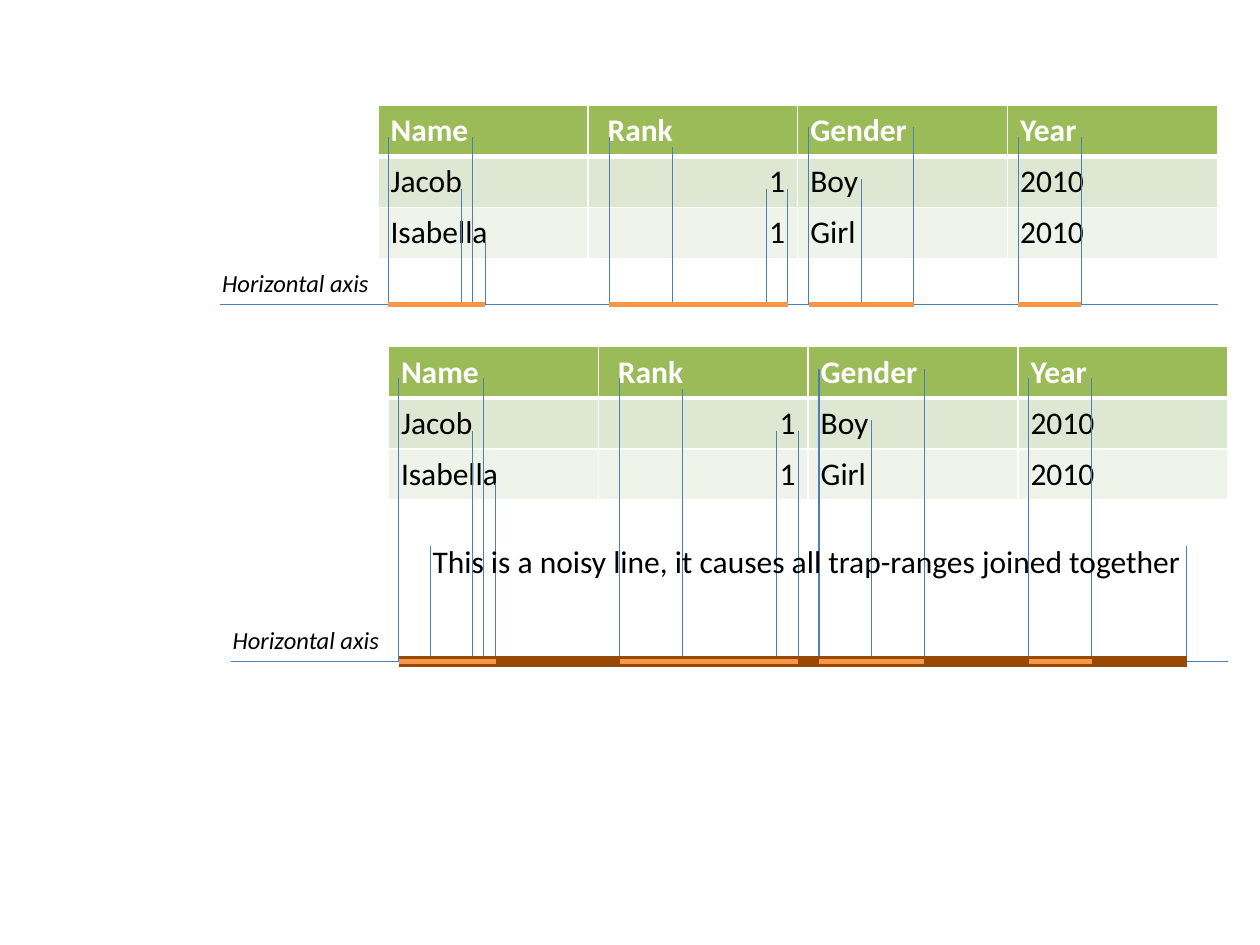
from lxml import etree
from pptx import Presentation
from pptx.dml.color import RGBColor
from pptx.enum.shapes import MSO_CONNECTOR
from pptx.enum.text import MSO_AUTO_SIZE, PP_ALIGN
from pptx.oxml.ns import qn
from pptx.util import Cm, Pt

COLORS = {
    "white": "FFFFFF", "black": "000000", "header": "9BBB59",
    "band_dark": "DEE7D1", "band_light": "EFF3EA",
    "guide": "4B7EBC", "range": "F79646", "joined": "984807",
}
FONT = "Calibri"
ROWS = [
    ["Name", " Rank", "Gender", "Year"],
    ["Jacob", "1", "Boy", "2010"],
    ["Isabella", "1", "Girl", "2010"],
]
ROW_FILLS = ["header", "band_dark", "band_light"]
COLUMN_WIDTH, ROW_HEIGHT = 4.23, 1.03

# Guide lines (x, y) measured from the table corner, grouped by column
COLUMN_GUIDES = [
    [(0.21, 0.64), (1.91, 0.64), (1.69, 1.69), (2.16, 2.75)],
    [(4.66, 0.64), (7.83, 1.69), (8.26, 1.69), (5.93, 0.85)],
    [(8.68, 0.45), (10.8, 0.45), (9.74, 1.48)],
    [(12.91, 0.64), (14.18, 0.64)],
]
# Table left, table top, axis height, has a noisy line
DIAGRAMS = [(7.62, 2.12, 6.14, False), (7.83, 6.99, 13.34, True)]
NOISE_START, NOISE_END, NOISE_TOP = 8.68, 23.92, 11.01

presentation = Presentation()
presentation.slide_width, presentation.slide_height = Cm(25.4), Cm(19.05)
slide = presentation.slides.add_slide(presentation.slide_layouts[6])


def add_line(x1, y1, x2, y2, color="guide", width=0.75):
    line = slide.shapes.add_connector(
        MSO_CONNECTOR.STRAIGHT, Cm(x1), Cm(y1), Cm(x2), Cm(y2))
    line.line.color.rgb = RGBColor.from_string(COLORS[color])
    line.line.width = Pt(width)
    etree.SubElement(line._element.spPr, qn("a:effectLst"))


def add_label(text, left, top, width, height, size, italic=False):
    frame = slide.shapes.add_textbox(
        Cm(left), Cm(top), Cm(width), Cm(height)).text_frame
    frame.word_wrap = False
    frame.auto_size = MSO_AUTO_SIZE.SHAPE_TO_FIT_TEXT
    run = frame.paragraphs[0].add_run()
    run.text = text
    run.font.name, run.font.size, run.font.italic = FONT, Pt(size), italic
    run.font.color.rgb = RGBColor.from_string(COLORS["black"])


for left, top, axis, noisy in DIAGRAMS:
    # Table
    table = slide.shapes.add_table(
        len(ROWS), len(ROWS[0]), Cm(left), Cm(top),
        Cm(COLUMN_WIDTH * len(ROWS[0])), Cm(ROW_HEIGHT * len(ROWS))).table
    for column in table.columns:
        column.width = Cm(COLUMN_WIDTH)
    for row_index, texts in enumerate(ROWS):
        table.rows[row_index].height = Cm(ROW_HEIGHT)
        is_header = row_index == 0
        for column_index, text in enumerate(texts):
            cell = table.cell(row_index, column_index)
            properties = cell._tc.get_or_add_tcPr()
            for side in ("lnL", "lnR", "lnT", "lnB"):
                # The rule below the header is thicker
                thick = (row_index, side) in [(0, "lnB"), (1, "lnT")]
                border = etree.SubElement(
                    properties, qn(f"a:{side}"), w=str(Pt(3 if thick else 1)))
                fill = etree.SubElement(border, qn("a:solidFill"))
                etree.SubElement(fill, qn("a:srgbClr"), val=COLORS["white"])
            cell.fill.solid()
            cell.fill.fore_color.rgb = RGBColor.from_string(
                COLORS[ROW_FILLS[row_index]])
            paragraph = cell.text_frame.paragraphs[0]
            if text == "1":
                paragraph.alignment = PP_ALIGN.RIGHT
            run = paragraph.add_run()
            run.text = text
            run.font.name, run.font.size, run.font.bold = FONT, Pt(18), is_header
            run.font.color.rgb = RGBColor.from_string(
                COLORS["white" if is_header else "black"])

    # Axis
    add_line(left - 3.18, axis, left + 16.93, axis)
    add_label("Horizontal axis", left - 3.39, axis - 0.86, 3.48, 0.86, 14, True)

    # Guide lines down to the axis
    for guides in COLUMN_GUIDES:
        for x, y in guides:
            add_line(left + x, top + y, left + x, axis)

    # Noisy line and the joined range it causes
    if noisy:
        add_label("This is a noisy line, it causes all trap-ranges joined together",
                  8.47, 10.8, 15.77, 1.02, 18)
        for x in (NOISE_START, NOISE_END):
            add_line(x, NOISE_TOP, x, axis)
        add_line(left + COLUMN_GUIDES[0][0][0], axis, NOISE_END, axis, "joined", 6)

    # Range covered by each column
    for guides in COLUMN_GUIDES:
        positions = [x for x, y in guides]
        add_line(left + min(positions), axis, left + max(positions), axis, "range", 3)

presentation.save("out.pptx")
